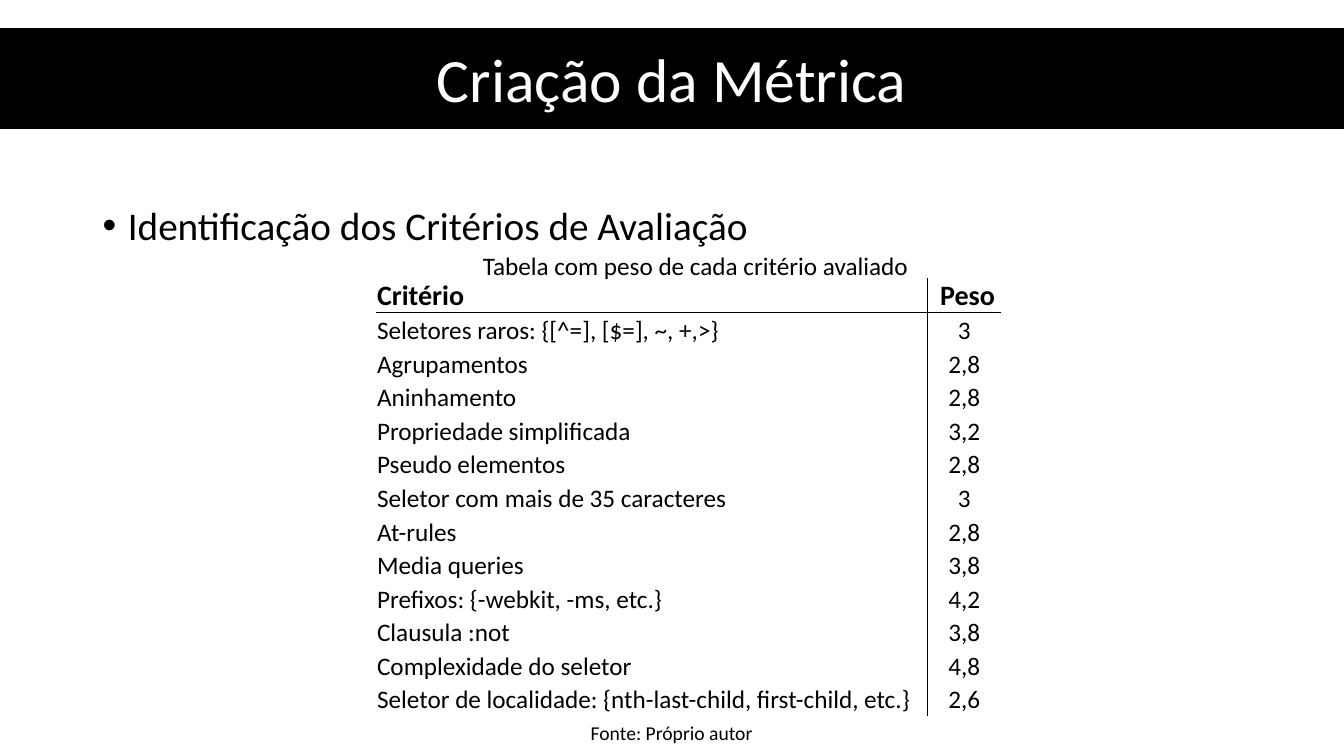
from lxml.etree import SubElement
from pptx import Presentation
from pptx.dml.color import RGBColor
from pptx.enum.shapes import MSO_SHAPE
from pptx.enum.text import MSO_ANCHOR, PP_ALIGN
from pptx.oxml.ns import qn
from pptx.util import Inches, Pt

# Content
TITLE = "Criação da Métrica"
POINT = "Identificação dos Critérios de Avaliação"
CAPTION = "Tabela com peso de cada critério avaliado"
SOURCE = "Fonte: Próprio autor"
ROWS = [
    ("Critério", " Peso"),
    ("Seletores raros: {[^=], [$=], ~, +,>}", "3"),
    ("Agrupamentos", "2,8"),
    ("Aninhamento", "2,8"),
    ("Propriedade simplificada", "3,2"),
    ("Pseudo elementos", "2,8"),
    ("Seletor com mais de 35 caracteres", "3"),
    ("At-rules", "2,8"),
    ("Media queries", "3,8"),
    ("Prefixos: {-webkit, -ms, etc.}", "4,2"),
    ("Clausula :not", "3,8"),
    ("Complexidade do seletor", "4,8"),
    ("Seletor de localidade: {nth-last-child, first-child, etc.}", "2,6"),
]

THEME = {
    "font": "Calibri", "ink": "000000", "paper": "FFFFFF",
    "title": 44, "point": 28, "head": 20, "cell": 18, "source": 14,
}
WIDTH, HEIGHT = 13.33, 7.5
COLS = (5.47, 0.73)
TABLE_H = 4.33


def color(name):
    return RGBColor.from_string(THEME[name])


def style(para, size, ink="ink", bold=False):
    for run in para.runs:
        font = run.font
        font.name, font.size, font.bold = THEME["font"], Pt(THEME[size]), bold
        font.color.rgb = color(ink)


def add_text(slide, box, text, size, wrap=False):
    frame = slide.shapes.add_textbox(*map(Inches, box)).text_frame
    frame.word_wrap = wrap
    frame.text = text
    style(frame.paragraphs[0], size)
    return frame.paragraphs[0]


def add_edges(cell, drawn):
    props = cell._tc.get_or_add_tcPr()
    for spot, side in enumerate("LRTB"):
        on = side in drawn
        line = SubElement(props, qn(f"a:ln{side}"), w=str(Pt(1) if on else 0))
        if on:
            fill = SubElement(line, qn("a:solidFill"))
            SubElement(fill, qn("a:srgbClr"), val=THEME["ink"])
        else:
            SubElement(line, qn("a:noFill"))
        props.insert(spot, line)


def add_title(slide):
    bar = slide.shapes.add_shape(
        MSO_SHAPE.RECTANGLE, 0, Inches(0.28), Inches(WIDTH), Inches(0.99))
    bar.shadow.inherit = False
    bar.fill.solid()
    bar.fill.fore_color.rgb = color("ink")
    bar.line.color.rgb = color("ink")
    bar.line.width = Pt(1)
    frame = bar.text_frame
    frame.text = TITLE
    frame.vertical_anchor = MSO_ANCHOR.MIDDLE
    frame.paragraphs[0].alignment = PP_ALIGN.CENTER
    style(frame.paragraphs[0], "title", "paper")


def add_point(slide):
    para = add_text(slide, (0.92, 2, 11.5, 4.76), POINT, "point", True)
    para.line_spacing = 0.9
    para.space_before = Pt(10)
    props = para._p.get_or_add_pPr()
    props.set("marL", str(Inches(0.25)))
    props.set("indent", str(Inches(-0.25)))
    SubElement(props, qn("a:buFont"), typeface="Arial")
    SubElement(props, qn("a:buChar"), char="•")


def add_weights(slide):
    table = slide.shapes.add_table(
        len(ROWS), len(COLS), Inches(3.73), Inches(2.76),
        Inches(sum(COLS)), Inches(TABLE_H)).table
    table.first_row = table.horz_banding = False
    for col, width in zip(table.columns, COLS):
        col.width = Inches(width)
    for r, row in enumerate(ROWS):
        table.rows[r].height = Inches(TABLE_H / len(ROWS))
        for c, text in enumerate(row):
            cell = table.cell(r, c)
            cell.margin_left = cell.margin_right = cell.margin_top = Inches(0.01)
            cell.margin_bottom = 0
            cell.vertical_anchor = MSO_ANCHOR.BOTTOM
            cell.fill.solid()
            cell.fill.fore_color.rgb = color("paper")
            cell.text_frame.text = text
            para = cell.text_frame.paragraphs[0]
            para.alignment = PP_ALIGN.CENTER if c else PP_ALIGN.LEFT
            style(para, "cell" if r else "head", bold=r == 0)
            # One rule between the columns, one under the header
            add_edges(cell, "RL"[c] + {0: "B", 1: "T"}.get(r, ""))


def main():
    deck = Presentation()
    deck.slide_width, deck.slide_height = Inches(WIDTH), Inches(HEIGHT)
    slide = deck.slides.add_slide(deck.slide_layouts[6])
    add_point(slide)
    add_title(slide)
    add_weights(slide)
    # Caption above the table, source below it
    add_text(slide, (4.69, 2.43, 4.53, 0.4), CAPTION, "cell")
    add_text(slide, (5.76, 7.1, 1.82, 0.34), SOURCE, "source")
    deck.save("out.pptx")


if __name__ == "__main__":
    main()
